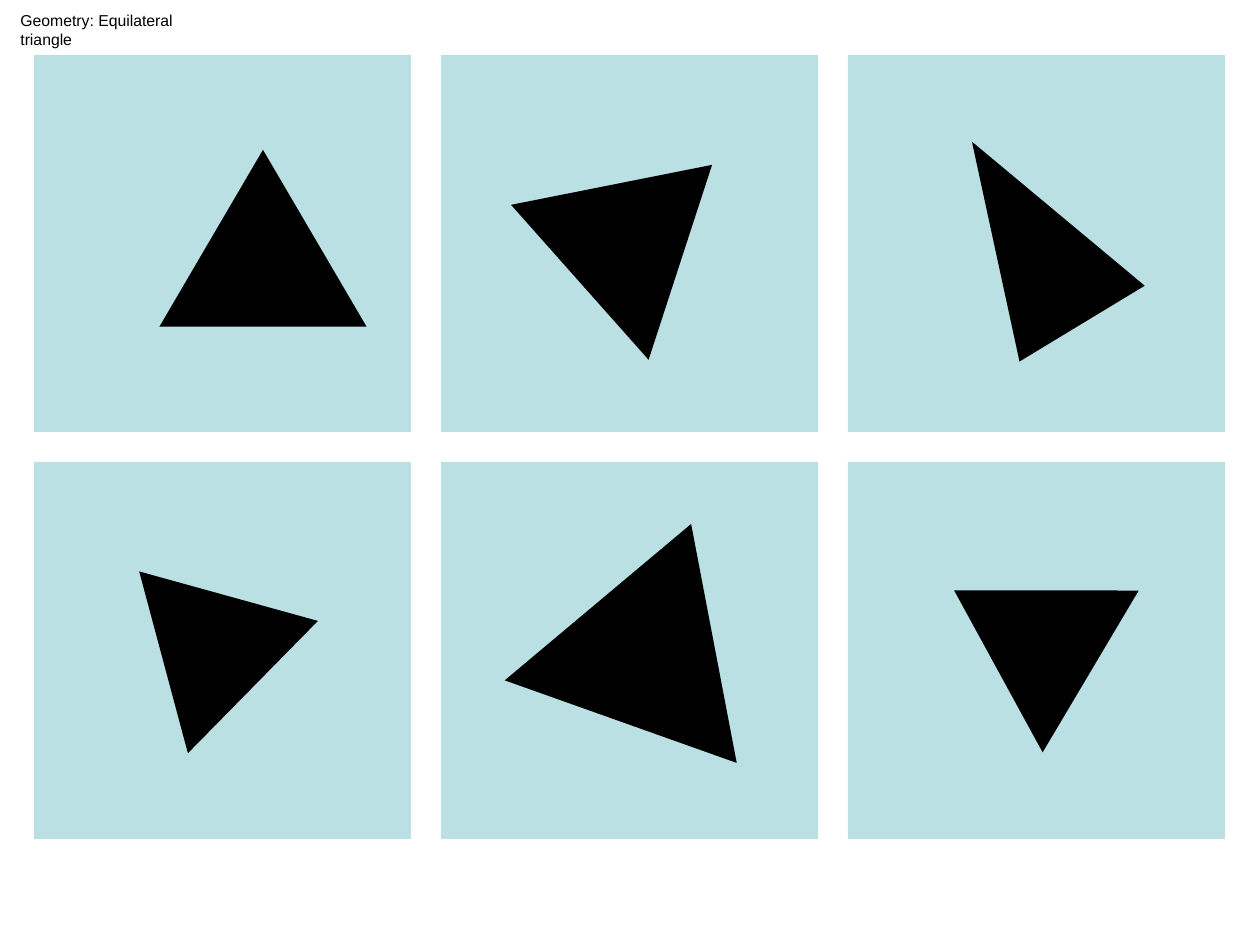
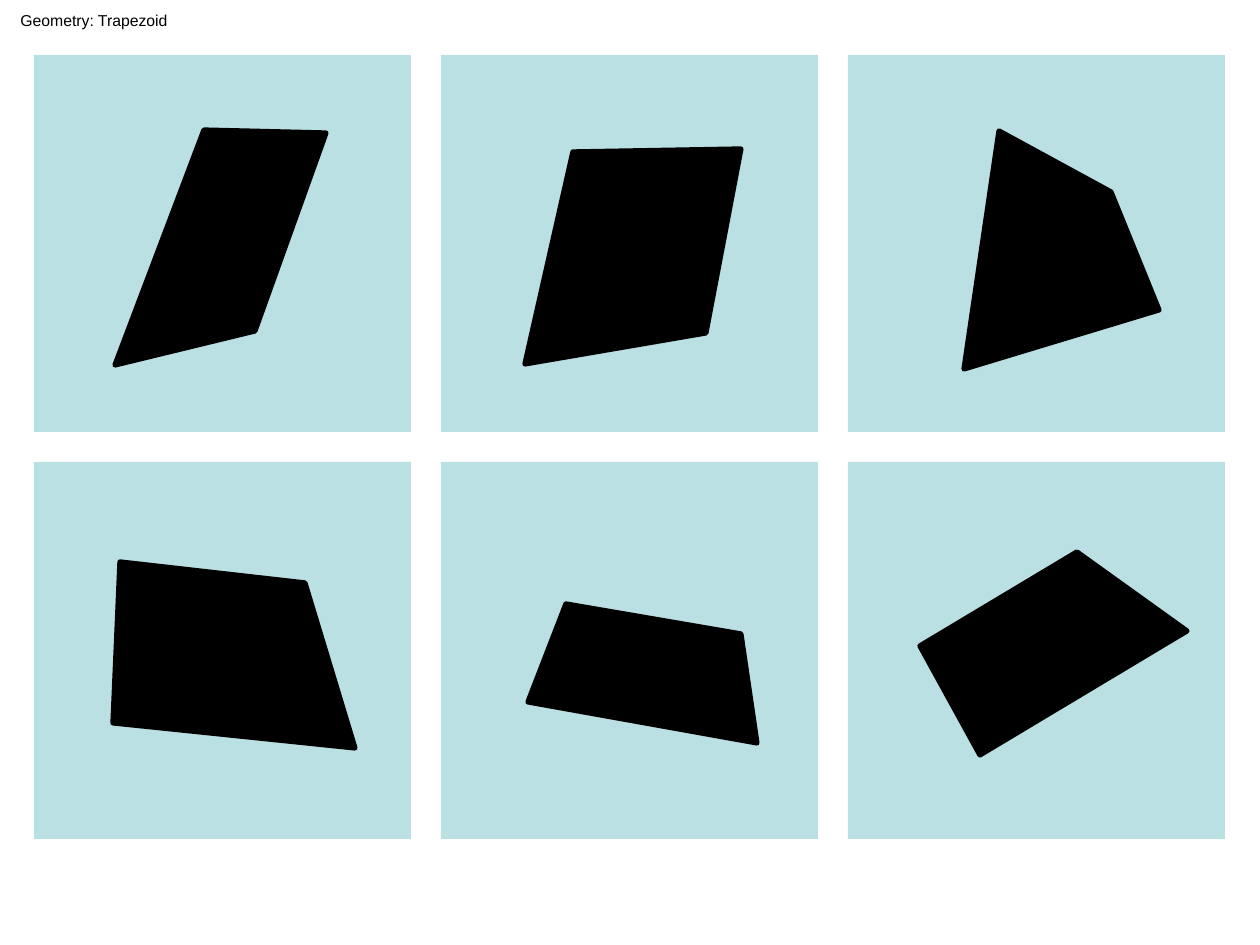
import pptx
import pptx.dml.color
import pptx.enum.shapes
import pptx.enum.text
import pptx.util
from lxml import etree

EMU_PER_PX = 914400 / 126
SLIDE_SIZE = (1260, 945)
PANEL_COLOR, FIGURE_COLOR = "BBE0E3", "000000"
PANEL_ORIGIN, PANEL_SIZE, PANEL_PITCH = (34, 55), 377, 407
PANEL_COLUMNS, PANEL_ROWS = 3, 2

# Heading text and box width
TRIANGLE_HEADING = ("Geometry: Equilateral triangle", 233)
TRAPEZOID_HEADING = ("Geometry: Trapezoid", 173)

# left, top, width, height, rotation in degrees
TRIANGLES = [
    (164, 155, 198, 169, 0),
    (546, 140, 198, 169, 48.4),
    (959, 134, 139, 202, 328.8),
    (150, 566, 179, 152, 75),
    (537, 523, 237, 202, 19.6),
    (934, 556, 179, 151, 300.7),
]

# Corner points
TRAPEZOIDS = [
    [(255, 331), (115, 365), (204, 130), (326, 133)],
    [(573, 152), (741, 149), (706, 333), (525, 364)],
    [(999, 131), (1111, 192), (1159, 310), (964, 369)],
    [(113, 723), (120, 562), (305, 583), (355, 748)],
    [(528, 702), (566, 604), (741, 634), (757, 743)],
    [(980, 755), (920, 646), (1077, 552), (1187, 631)],
]


def px(*lengths):
    return [round(length * EMU_PER_PX) for length in lengths]


def rgb(color):
    return pptx.dml.color.RGBColor.from_string(color)


def paint(shape, color):
    shape.shadow.inherit = False
    shape.fill.solid()
    shape.fill.fore_color.rgb = rgb(color)


def outline(shape, join):
    """Draw a 3 pt line with the given corner join, "miter" or "round"."""
    shape.line.color.rgb = rgb(FIGURE_COLOR)
    shape.line.width = pptx.util.Pt(3)
    line = shape.line._get_or_add_ln()
    corner = etree.SubElement(line, pptx.oxml.ns.qn(f"a:{join}"))
    if join == "miter":
        corner.set("lim", "800000")


def add_heading(slide, text, width):
    box = slide.shapes.add_textbox(*px(8, 5, width, 32))
    frame = box.text_frame
    frame.word_wrap = False
    frame.auto_size = pptx.enum.text.MSO_AUTO_SIZE.SHAPE_TO_FIT_TEXT
    paragraph = frame.paragraphs[0]
    paragraph.text = text
    paragraph.font.name = "Arial"
    paragraph.font.size = pptx.util.Pt(9)
    paragraph.font.color.rgb = rgb(FIGURE_COLOR)


def add_panels(slide):
    left, top = PANEL_ORIGIN
    for row in range(PANEL_ROWS):
        for column in range(PANEL_COLUMNS):
            panel = slide.shapes.add_shape(
                pptx.enum.shapes.MSO_SHAPE.RECTANGLE,
                *px(left + column * PANEL_PITCH, top + row * PANEL_PITCH,
                    PANEL_SIZE, PANEL_SIZE))
            paint(panel, PANEL_COLOR)
            panel.line.fill.background()


def add_triangle(slide, triangle):
    *frame, rotation = triangle
    shape = slide.shapes.add_shape(
        pptx.enum.shapes.MSO_SHAPE.ISOSCELES_TRIANGLE, *px(*frame))
    shape.rotation = rotation
    paint(shape, FIGURE_COLOR)
    outline(shape, "miter")


def add_trapezoid(slide, corners):
    builder = slide.shapes.build_freeform(*corners[0], scale=EMU_PER_PX)
    builder.add_line_segments(corners[1:], close=True)
    shape = builder.convert_to_shape()
    paint(shape, FIGURE_COLOR)
    outline(shape, "round")


def main():
    presentation = pptx.Presentation()
    presentation.slide_width, presentation.slide_height = px(*SLIDE_SIZE)
    for heading, figures, add_figure in [
        (TRIANGLE_HEADING, TRIANGLES, add_triangle),
        (TRAPEZOID_HEADING, TRAPEZOIDS, add_trapezoid),
    ]:
        slide = presentation.slides.add_slide(presentation.slide_layouts[6])
        add_panels(slide)
        for figure in figures:
            add_figure(slide, figure)
        add_heading(slide, *heading)
    presentation.save("out.pptx")


if __name__ == "__main__":
    main()
